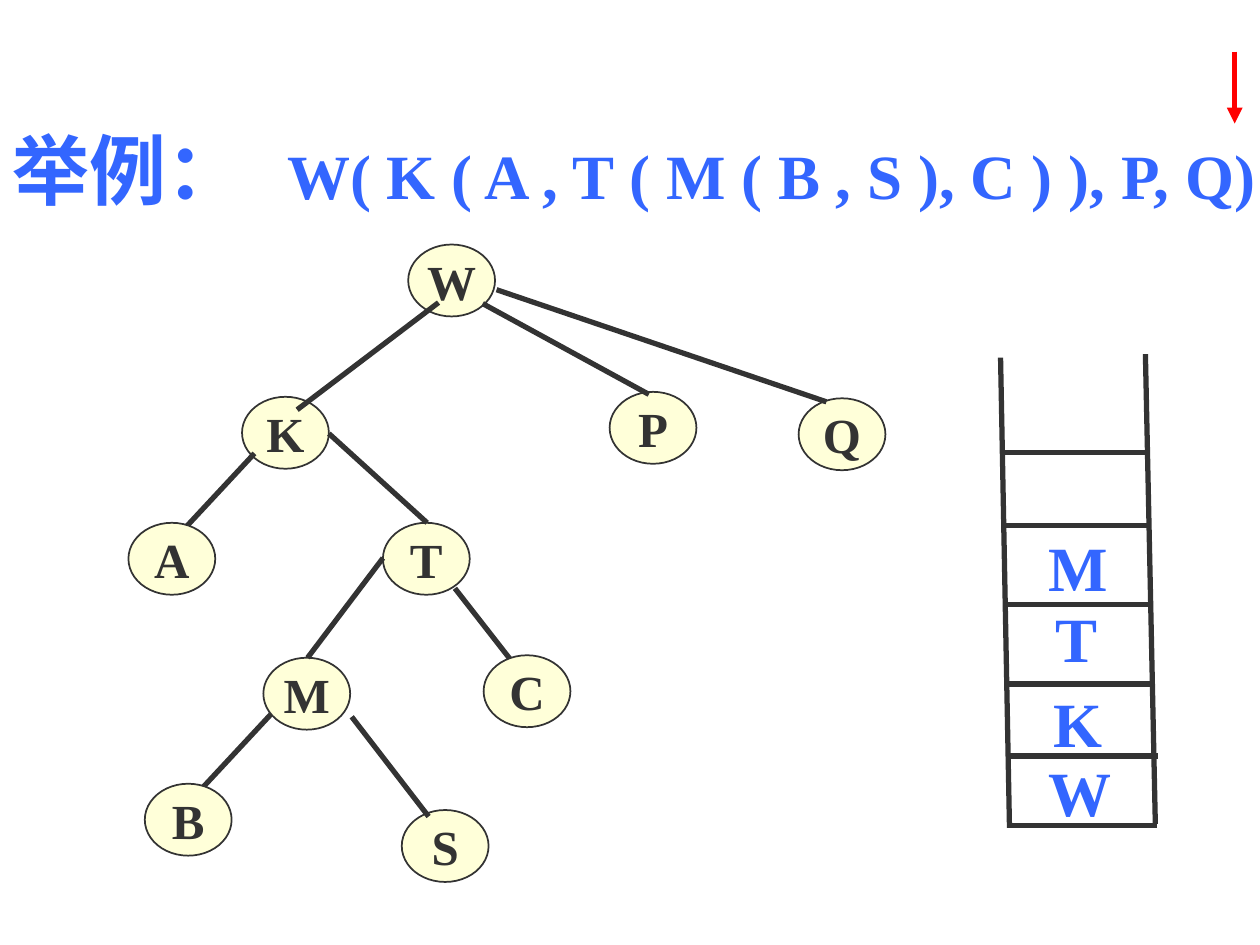
from lxml import etree
from pptx import Presentation
from pptx import util as u
from pptx.dml.color import RGBColor
from pptx.enum import shapes, text
from pptx.oxml.ns import qn

COLOURS = {"ink": "333333", "node": "FFFFD9", "accent": "3366FF", "arrow": "FF0000"}
NODE_WIDTH, NODE_HEIGHT = 1.75, 1.45
SHELF_WIDTH, LABEL_HEIGHT = 3.0, 1.78

INNER_NODES = {
    "W": (8.23, 4.93), "K": (4.88, 8.0), "P": (12.29, 7.9), "T": (7.72, 10.54),
    "M": (5.31, 13.26), "S": (8.1, 16.33), "Q": (16.1, 8.03),
}
FRONT_NODES = {"A": (2.59, 10.54), "B": (2.92, 15.8), "C": (9.75, 13.21)}
BRANCHES = [
    (9.73, 6.12, 13.08, 7.95), (6.63, 8.74, 8.61, 10.54), (7.72, 11.25, 6.2, 13.26),
    (7.09, 14.45, 8.64, 16.46), (8.84, 6.1, 5.99, 8.26), (5.13, 9.14, 3.66, 10.72),
    (5.46, 14.4, 3.99, 15.98), (9.17, 11.86, 10.34, 13.36), (10.01, 5.84, 16.66, 8.1),
]
STACK_SIDES = [(20.17, 7.21, 20.35, 16.69), (23.09, 7.14, 23.29, 16.61)]
SHELVES = [(20.32, 16.64), (20.35, 15.24), (20.27, 13.79),
           (20.22, 12.19), (20.19, 10.59), (20.19, 9.12)]
STACK_LABELS = [("W", 20.88, 15.06, 1.78), ("K", 20.98, 13.67, 1.5),
                ("T", 21.03, 11.96, 1.35), ("M", 20.88, 10.52, 1.7)]


class Painter:
    """Draws tree nodes, lines and text on one page in a shared style."""

    font = "Times New Roman"

    def __init__(self, page):
        self.page = page

    def colour(self, name):
        return RGBColor.from_string(COLOURS[name])

    def style(self, span, size, colour):
        span.font.name = self.font
        span.font.size = u.Pt(size)
        span.font.bold = True
        span.font.color.rgb = self.colour(colour)

    def node(self, letter, left, top):
        oval = self.page.shapes.add_shape(
            shapes.MSO_SHAPE.OVAL, u.Cm(left), u.Cm(top), u.Cm(NODE_WIDTH), u.Cm(NODE_HEIGHT))
        oval.shadow.inherit = False
        oval.fill.solid()
        oval.fill.fore_color.rgb = self.colour("node")
        oval.line.color.rgb = self.colour("ink")
        oval.line.width = u.Pt(1)
        frame = oval.text_frame
        frame.word_wrap = False
        frame.vertical_anchor = text.MSO_ANCHOR.MIDDLE
        frame.text = letter
        para = frame.paragraphs[0]
        para.alignment = text.PP_ALIGN.CENTER
        self.style(para.runs[0], 28, "ink")

    def line(self, x1, y1, x2, y2, colour="ink", arrow=False):
        line = self.page.shapes.add_connector(
            shapes.MSO_CONNECTOR.STRAIGHT, u.Cm(x1), u.Cm(y1), u.Cm(x2), u.Cm(y2))
        line.line.color.rgb = self.colour(colour)
        line.line.width = u.Pt(3)
        properties = line._element.spPr
        if arrow:
            etree.SubElement(properties.find(qn("a:ln")), qn("a:tailEnd"), type="triangle")
        etree.SubElement(properties, qn("a:effectLst"))

    def label(self, parts, left, top, width, height, wrap=False, tab=None):
        box = self.page.shapes.add_textbox(u.Cm(left), u.Cm(top), u.Cm(width), u.Cm(height))
        frame = box.text_frame
        frame.word_wrap = wrap
        para = frame.paragraphs[0]
        if tab:
            stops = etree.SubElement(para._p.get_or_add_pPr(), qn("a:tabLst"))
            etree.SubElement(stops, qn("a:tab"), pos=str(u.Cm(tab)), algn="l")
        for words, size in parts:
            span = para.add_run()
            span.text = words
            self.style(span, size, "accent")


def main():
    deck = Presentation()
    deck.slide_width, deck.slide_height = u.Cm(25.4), u.Cm(19.05)
    painter = Painter(deck.slides.add_slide(deck.slide_layouts[6]))

    for letter, place in INNER_NODES.items():
        painter.node(letter, *place)
    for branch in BRANCHES:
        painter.line(*branch)
    for letter, place in FRONT_NODES.items():
        painter.node(letter, *place)

    heading = [("举例：", 44), ("\tW( K ( A , T ( M ( B , S ), C ) ), P, Q)", 36)]
    painter.label(heading, 0, 2.34, 27, 2.13, wrap=True, tab=5.54)
    painter.line(24.89, 1.04, 24.89, 2.49, colour="arrow", arrow=True)

    for side in STACK_SIDES:
        painter.line(*side)
    for left, top in SHELVES:
        painter.line(left, top, left + SHELF_WIDTH, top)
    for letter, left, top, width in STACK_LABELS:
        painter.label([(letter, 36)], left, top, width, LABEL_HEIGHT)

    deck.save("out.pptx")


if __name__ == "__main__":
    main()
